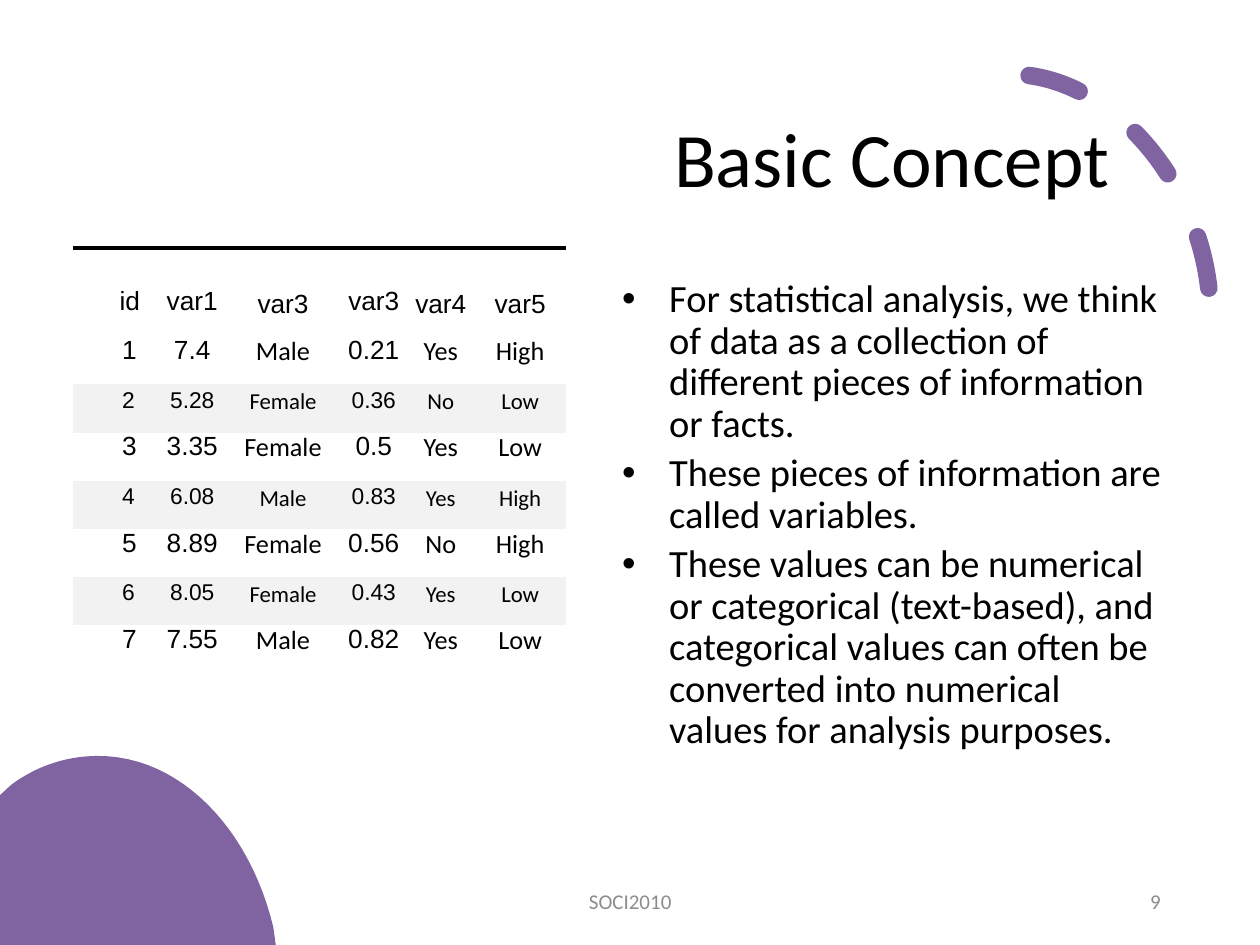
"""Builds the Basic Concept slide with a data table and bullet points."""
from dataclasses import dataclass

from lxml import etree
from pptx import Presentation
from pptx import util as u
from pptx.dml.color import RGBColor
from pptx.enum import dml, shapes, text
from pptx.oxml.ns import qn

LEFT, CENTER, RIGHT = text.PP_ALIGN.LEFT, text.PP_ALIGN.CENTER, text.PP_ALIGN.RIGHT
TOP, MIDDLE = text.MSO_ANCHOR.TOP, text.MSO_ANCHOR.MIDDLE


@dataclass(frozen=True)
class Theme:
    ink: str = "000000"
    accent: str = "8064A2"
    muted: str = "8C8C8C"
    band: str = "F2F2F2"
    body_font: str = "Calibri"
    data_font: str = "Arial"
    title_size: int = 44
    bullet_size: int = 22
    footer_size: int = 12
    table_size: int = 15
    band_size: int = 13


class SlideBuilder:
    def __init__(self, slide, theme):
        self.slide = slide
        self.theme = theme

    def style(self, paragraph, size, color=None, font=None, align=LEFT):
        paragraph.alignment = align
        for run in paragraph.runs:
            run.font.size = u.Pt(size)
            run.font.name = font or self.theme.body_font
            run.font.color.rgb = RGBColor.from_string(color or self.theme.ink)

    def text_box(self, box, content, size, color=None, align=LEFT, anchor=MIDDLE):
        shape = self.slide.shapes.add_textbox(*map(u.Cm, box))
        frame = shape.text_frame
        frame.word_wrap = True
        frame.vertical_anchor = anchor
        frame.text = content
        for paragraph in frame.paragraphs:
            self.style(paragraph, size, color, align=align)
        return frame

    def bullets(self, box, items):
        frame = self.text_box(box, "\n".join(items), self.theme.bullet_size, anchor=TOP)
        for paragraph in frame.paragraphs:
            paragraph.line_spacing = 0.9
            paragraph.space_before = u.Pt(4.4)
            properties = paragraph._p.get_or_add_pPr()
            properties.set("marL", str(u.Cm(0.95)))
            properties.set("indent", str(u.Cm(-0.95)))
            etree.SubElement(properties, qn("a:buFont"), typeface="Arial")
            etree.SubElement(properties, qn("a:buChar"), char="•")

    def dashed_arc(self, box, rotation, start, end):
        shape = self.slide.shapes.add_shape(shapes.MSO_SHAPE.ARC, *map(u.Cm, box))
        shape.shadow.inherit = False
        shape.adjustments[0], shape.adjustments[1] = start, end
        shape.rotation = rotation
        shape.fill.background()
        shape.line.color.rgb = RGBColor.from_string(self.theme.accent)
        shape.line.width = u.Pt(10)
        shape.line.dash_style = dml.MSO_LINE.DASH
        properties = shape.element.spPr
        properties.find(qn("a:xfrm")).set("flipH", "1")
        properties.find(qn("a:ln")).set("cap", "rnd")

    def corner_dome(self, points):
        scaled = [(u.Cm(x), u.Cm(y)) for x, y in points]
        builder = self.slide.shapes.build_freeform(*scaled[0])
        builder.add_line_segments(scaled[1:], close=True)
        shape = builder.convert_to_shape()
        shape.shadow.inherit = False
        shape.fill.solid()
        shape.fill.fore_color.rgb = RGBColor.from_string(self.theme.accent)
        shape.line.fill.background()

    def top_border(self, cell):
        line = etree.Element(qn("a:lnT"), w=str(u.Pt(2.25)))
        fill = etree.SubElement(line, qn("a:solidFill"))
        etree.SubElement(fill, qn("a:srgbClr"), val=self.theme.ink)
        cell._tc.get_or_add_tcPr().insert(0, line)

    def table_cell(self, cell, content, row, column):
        theme = self.theme
        header, banded = row == 0, row > 0 and row % 2 == 0
        worded = column in (2, 4, 5)
        cell.text = content
        cell.vertical_anchor = TOP
        cell.margin_right = 0
        cell.margin_left = u.Cm((0.94 if header else 0.99) if column == 0 else 0)
        cell.margin_top = u.Cm((1.03 if worded else 0.79) if header else 0.18)
        cell.margin_bottom = u.Cm(0.18)
        paragraph = cell.text_frame.paragraphs[0]
        self.style(paragraph, theme.band_size if banded else theme.table_size,
                   font=theme.body_font if worded and not header else theme.data_font,
                   align=LEFT if column == 0 else CENTER)
        if worded or not header:
            paragraph.line_spacing = u.Pt(12.9 if worded and not header else 11.3)
        if banded:
            cell.fill.solid()
            cell.fill.fore_color.rgb = RGBColor.from_string(theme.band)
        else:
            cell.fill.background()
        if header:
            self.top_border(cell)

    def table(self, left, top, widths, heights, rows):
        frame = self.slide.shapes.add_table(
            len(rows), len(widths), *map(u.Cm, (left, top, sum(widths), sum(heights))))
        table = frame.table
        table.first_row = table.horz_banding = False
        style_id = next(table._tbl.iter(qn("a:tableStyleId")))
        style_id.text = "{2D5ABB26-0587-4C30-8999-92F81FD0307C}"
        for column, width in zip(table.columns, widths):
            column.width = u.Cm(width)
        for row, height in zip(table.rows, heights):
            row.height = u.Cm(height)
        for i, values in enumerate(rows):
            for j, value in enumerate(values):
                self.table_cell(table.cell(i, j), value, i, j)


def bezier(start, first, second, end, steps=24):
    def blend(t, a, b, c, d):
        s = 1 - t
        return s**3 * a + 3 * s * s * t * b + 3 * s * t * t * c + t**3 * d
    return [tuple(blend(k / steps, *axis) for axis in zip(start, first, second, end))
            for k in range(steps + 1)]


DATA = [
    ("id", "var1", "var3", "var3", "var4", "var5"),
    ("1", "7.4", "Male", "0.21", "Yes", "High"),
    ("2", "5.28", "Female", "0.36", "No", "Low"),
    ("3", "3.35", "Female", "0.5", "Yes", "Low"),
    ("4", "6.08", "Male", "0.83", "Yes", "High"),
    ("5", "8.89", "Female", "0.56", "No", "High"),
    ("6", "8.05", "Female", "0.43", "Yes", "Low"),
    ("7", "7.55", "Male", "0.82", "Yes", "Low"),
]
POINTS = [
    "For statistical analysis, we think of data as a collection of different pieces "
    "of information or facts.",
    "These pieces of information are called variables.",
    "These values can be numerical or categorical (text-based), and categorical values "
    "can often be converted into numerical values for analysis purposes.",
]


def main():
    presentation = Presentation()
    presentation.slide_width, presentation.slide_height = u.Cm(25.4), u.Cm(19.05)
    slide = presentation.slides.add_slide(presentation.slide_layouts[6])
    theme = Theme()
    builder = SlideBuilder(slide, theme)

    builder.dashed_arc((16.94, 2.39, 8.31, 6.22), 66.1, 144.42, 0)
    builder.text_box((12.29, 1.32, 11.38, 3.68), "Basic Concept", theme.title_size,
                     align=CENTER)
    crest = (1.98, 15.24)
    builder.corner_dome(
        bezier((5.51, 18.69), (5.03, 16.69), (3.63, 15.24), crest)
        + bezier(crest, (1.35, 15.24), (0.74, 15.44), (0.23, 15.82))[1:]
        + [(0, 16.03), (0, 19.05), (5.56, 19.05)])
    builder.bullets((12.29, 5.51, 11.38, 11.63), POINTS)
    builder.text_box((8.41, 17.65, 8.59, 1.02), "SOCI2010", theme.footer_size,
                     theme.muted, CENTER)
    builder.text_box((17.93, 17.65, 5.72, 1.02), "9", theme.footer_size,
                     theme.muted, RIGHT)
    builder.table(1.47, 5, (1.73, 1.35, 2.31, 1.35, 1.35, 1.85),
                  [1.78] + [0.97] * 7, DATA)
    presentation.save("out.pptx")


if __name__ == "__main__":
    main()
